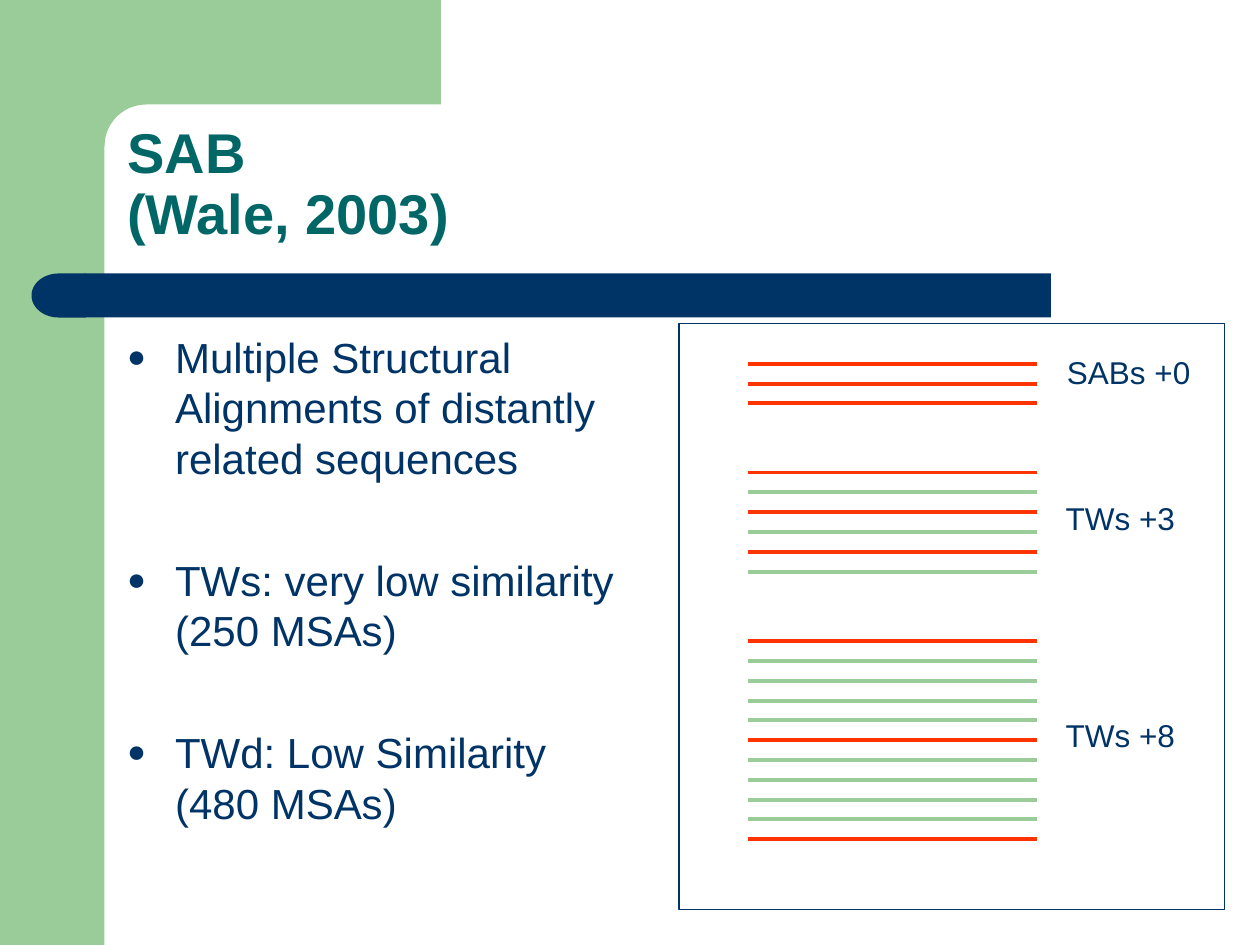
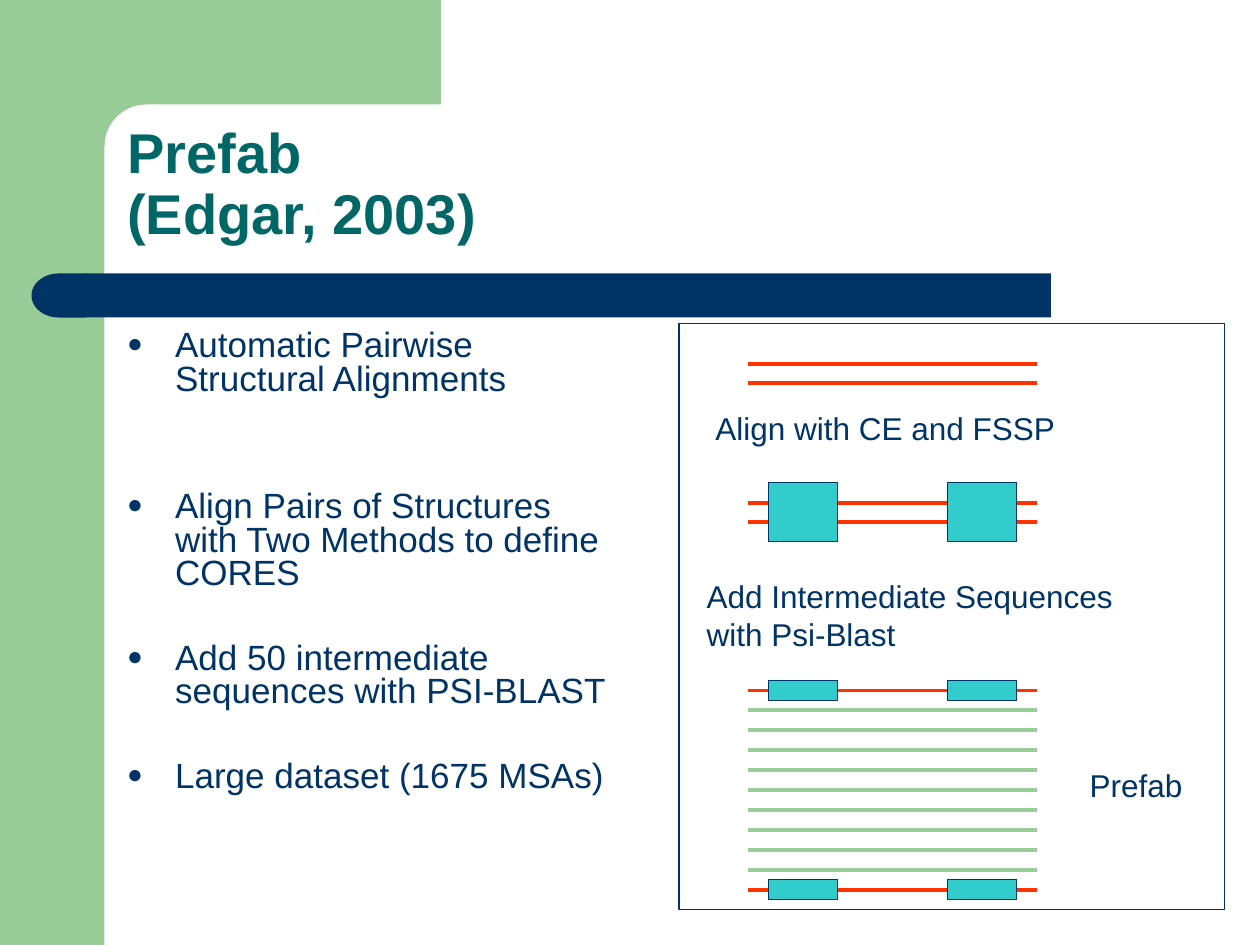
"""Build two slides on reference alignment sets: SAB and Prefab."""
from math import cos, pi, sin

from lxml.etree import SubElement
from pptx import Presentation
from pptx.dml.color import RGBColor
from pptx.enum.shapes import MSO_CONNECTOR, MSO_SHAPE
from pptx.enum.text import MSO_ANCHOR, MSO_AUTO_SIZE, PP_ALIGN
from pptx.oxml.ns import qn
from pptx.util import Inches, Pt

COLORS = {"navy": "003366", "green": "99CC99", "teal": "006666",
          "red": "FF3300", "cyan": "33CCCC"}
FONT = "Arial"
LINE_HEIGHT = 1.2
TITLE_BOX = (0.91, 0.91, 8.51, 1.09)
BODY_BOX = (0.91, 2.58, 4.13, 4.07)
PANEL_BOX = (5.39, 2.57, 4.33, 4.65)
SEQUENCE_LEFT, SEQUENCE_RIGHT = 5.94, 8.23
CORE_LEFTS, CORE_WIDTH = (6.1, 7.52), 0.55
SEQUENCE_COLORS = {"R": "red", "G": "green"}
CORNER_CENTER, CORNER_RADIUS = 1.16, 0.33

SLIDES = [
    {"title": ["SAB", "(Wale, 2003)"],
     "body_size": 24, "body_spacing": 1,
     "bullets": [
         ("Multiple Structural Alignments of distantly related sequences", 0),
         ("TWs: very low similarity (250 MSAs)", 41),
         ("TWd: Low Similarity (480 MSAs)", 41)],
     "stacks": [(2.89, 3.2, "RRR"), (3.75, 4.54, "RGRGRG"),
                (5.09, 6.66, "RGGGGRGGGGR")],
     "cores": [],
     "labels": [((8.37, 2.75, 1.3, 0.4), ["SABs +0"]),
                ((8.36, 3.91, 1.3, 0.4), ["TWs +3"]),
                ((8.36, 5.63, 1.3, 0.4), ["TWs +8"])]},
    {"title": ["Prefab", "(Edgar, 2003)"],
     "body_size": 20, "body_spacing": 0.8,
     "bullets": [
         ("Automatic Pairwise Structural Alignments", 0),
         ("Align Pairs of Structures with Two Methods to define CORES", 53.5),
         ("Add 50 intermediate sequences with PSI-BLAST", 29),
         ("Large dataset (1675 MSAs)", 29)],
     "stacks": [(2.89, 3.04, "RR"), (3.99, 4.14, "RR"),
                (5.48, 7.06, "RGGGGGGGGGR")],
     "cores": [(3.83, 0.47), (5.4, 0.16), (6.98, 0.16)],
     "labels": [((5.58, 3.2, 3.1, 0.4), ["Align with CE and FSSP"]),
                ((8.55, 6.03, 1.1, 0.4), ["Prefab"]),
                ((5.51, 4.53, 3.7, 0.7),
                 ["Add Intermediate Sequences", "with Psi-Blast"])]},
]


def color(name):
    return RGBColor.from_string(COLORS[name])


def inches(box):
    return [Inches(value) for value in box]


def paint(shape, fill=None, line=None):
    shape.shadow.inherit = False
    if fill:
        shape.fill.solid()
        shape.fill.fore_color.rgb = color(fill)
    else:
        shape.fill.background()
    if line:
        shape.line.color.rgb = color(line)
        shape.line.width = Pt(0.75)
    else:
        shape.line.fill.background()
    return shape


def add_box(slide, box, fill=None, line=None, kind=MSO_SHAPE.RECTANGLE):
    return paint(slide.shapes.add_shape(kind, *inches(box)), fill, line)


def write(paragraph, lines, size, name, spacing=1, bold=False):
    paragraph.alignment = PP_ALIGN.LEFT
    paragraph.line_spacing = Pt(round(size * LINE_HEIGHT * spacing, 1))
    for index, text in enumerate(lines):
        if index:
            paragraph.add_line_break()
        run = paragraph.add_run()
        run.text = text
        run.font.name = FONT
        run.font.size = Pt(size)
        run.font.bold = bold
        run.font.color.rgb = color(name)


def add_bullet(paragraph):
    properties = paragraph._p.get_or_add_pPr()
    properties.set("marL", str(Inches(0.38)))
    properties.set("indent", str(-Inches(0.38)))
    bullet_color = SubElement(properties, qn("a:buClr"))
    SubElement(bullet_color, qn("a:srgbClr"), val=COLORS["navy"])
    SubElement(properties, qn("a:buSzPct"), val="75000")
    SubElement(properties, qn("a:buChar"), char="●")


def place(placeholder, box, anchor):
    placeholder.left, placeholder.top, placeholder.width, placeholder.height = inches(box)
    frame = placeholder.text_frame
    frame.auto_size = MSO_AUTO_SIZE.NONE
    frame.vertical_anchor = anchor
    return frame


def add_corner(slide):
    angles = [step * pi / 24 for step in range(13)]
    arc = [(CORNER_CENTER - CORNER_RADIUS * sin(angle),
            CORNER_CENTER - CORNER_RADIUS * cos(angle)) for angle in angles]
    outline = [(3.5, 0.83), *arc, (0.5, CORNER_CENTER), (0.5, 0)]
    builder = slide.shapes.build_freeform(Inches(3.5), 0)
    builder.add_line_segments([inches(point) for point in outline], close=True)
    return paint(builder.convert_to_shape(), "green")


def decorate_layout(layout, slide):
    decorations = [
        add_box(slide, (0, 0, 0.83, 7.5), "green"),
        add_corner(slide),
        add_box(slide, (0.67, 2.17, 7.67, 0.35), "navy"),
        add_box(slide, (0.25, 2.17, 0.43, 0.35), "navy",
                kind=MSO_SHAPE.FLOWCHART_DELAY)]
    decorations[-1].rotation = 180
    for index, shape in enumerate(decorations):
        shape.element.xpath("./p:nvSpPr/p:cNvPr")[0].set("id", str(20 + index))
        layout.shapes.element.insert(2 + index, shape.element)


def add_stack(slide, first, last, pattern):
    step = (last - first) / (len(pattern) - 1)
    for index, letter in enumerate(pattern):
        y = Inches(first + index * step)
        connector = slide.shapes.add_connector(
            MSO_CONNECTOR.STRAIGHT, Inches(SEQUENCE_LEFT), y, Inches(SEQUENCE_RIGHT), y)
        connector.line.color.rgb = color(SEQUENCE_COLORS[letter])
        connector.line.width = Pt(2.25)
        SubElement(connector.element.spPr, qn("a:effectLst"))


def add_label(slide, box, lines):
    frame = slide.shapes.add_textbox(*inches(box)).text_frame
    frame.word_wrap = True
    write(frame.paragraphs[0], lines, 18, "navy")


def fill_slide(slide, content):
    title = place(slide.shapes.title, TITLE_BOX, MSO_ANCHOR.BOTTOM)
    write(title.paragraphs[0], content["title"], 32, "teal", 0.9, bold=True)

    body = place(slide.placeholders[1], BODY_BOX, MSO_ANCHOR.TOP)
    for index, (text, space) in enumerate(content["bullets"]):
        paragraph = body.add_paragraph() if index else body.paragraphs[0]
        paragraph.space_before = Pt(space)
        write(paragraph, [text], content["body_size"], "navy", content["body_spacing"])
        add_bullet(paragraph)

    add_box(slide, PANEL_BOX, line="navy")
    for stack in content["stacks"]:
        add_stack(slide, *stack)
    for top, height in content["cores"]:
        for left in CORE_LEFTS:
            add_box(slide, (left, top, CORE_WIDTH, height), "cyan", "navy")
    for box, lines in content["labels"]:
        add_label(slide, box, lines)


def main():
    presentation = Presentation()
    presentation.slide_width, presentation.slide_height = Inches(10), Inches(7.5)
    layout = presentation.slide_layouts[1]
    for index, content in enumerate(SLIDES):
        slide = presentation.slides.add_slide(layout)
        if index == 0:
            decorate_layout(layout, slide)
        fill_slide(slide, content)
    presentation.save("out.pptx")


if __name__ == "__main__":
    main()
